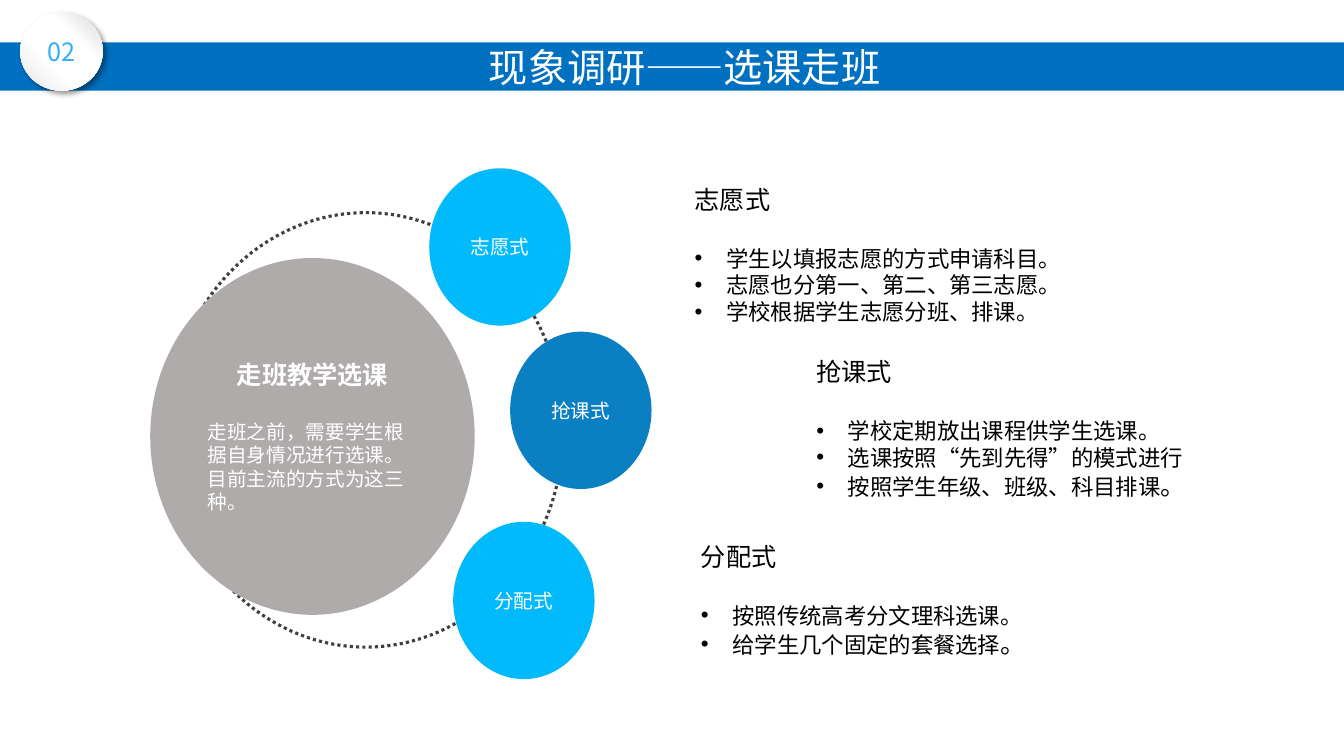
from lxml.etree import SubElement as Sub
from pptx import Presentation
from pptx.dml.color import RGBColor
from pptx.enum.dml import MSO_LINE as Dash
from pptx.enum.shapes import MSO_SHAPE as Kind
from pptx.enum.text import MSO_ANCHOR as Anchor, MSO_AUTO_SIZE as Auto, PP_ALIGN as Align
from pptx.oxml.ns import qn
from pptx.util import Pt

FACE = "Noto Sans CJK SC"
TITLE = "现象调研——选课走班"
BADGE = "02"
HUB = ("走班教学选课", "走班之前，需要学生根据自身情况进行选课。目前主流的方式为这三种。")
MODES = [
    {"name": "志愿式", "ball": (306.6, 120.2, "00BAFB"), "list": (489, 128, 287),
     "items": ["学生以填报志愿的方式申请科目。", "志愿也分第一、第二、第三志愿。", "学校根据学生志愿分班、排课。"]},
    {"name": "抢课式", "ball": (364.4, 236.9, "0A80C2"), "list": (576, 251, 287),
     "items": ["学校定期放出课程供学生选课。", "选课按照“先到先得”的模式进行", "按照学生年级、班级、科目排课|。"]},
    {"name": "分配式", "ball": (323.7, 372.7, "00BAFB"), "list": (493.5, 383, 249),
     "items": ["按照传统高考分文理科选课。", "给学生几个固定的套餐选择|。"]},
]
STOPS = [(0, "E7E6E6"), (38, "FFFFFF"), (66, "FFFFFF"), (100, "D9D9D9")]
BALL = (101, 112.4)
LEAD = 1.2
HANG = 22.5


def color(code):
    return RGBColor.from_string(code)


def apply(thing, **values):
    for key, value in values.items():
        setattr(thing, key, value)


def place(shape, left, top, width, height):
    apply(shape, left=Pt(left), top=Pt(top), width=Pt(width), height=Pt(height))


def write(para, text, size, tint="FFFFFF", bold=False):
    run = para.add_run()
    run.text = text
    apply(run.font, name=FACE, size=Pt(size), bold=bold)
    run.font.color.rgb = color(tint)
    Sub(run._r.get_or_add_rPr(), qn("a:ea"), typeface=FACE)


def space(para, size, before=0):
    apply(para, line_spacing=Pt(size * LEAD), space_before=Pt(before), space_after=Pt(0))


def bullet(para, mark):
    props = para._p.get_or_add_pPr()
    props.set("marL", str(Pt(HANG) if mark else 0))
    props.set("indent", str(-Pt(HANG) if mark else 0))
    if mark:
        Sub(props, qn("a:buFont"), typeface="Arial")
        Sub(props, qn("a:buChar"), char="•")
    else:
        Sub(props, qn("a:buNone"))


def disc(left, top, width, height, fill=None):
    shape = slide.shapes.add_shape(Kind.OVAL, Pt(left), Pt(top), Pt(width), Pt(height))
    shape.shadow.inherit = False
    shape.line.fill.background()
    if fill:
        shape.fill.solid()
        shape.fill.fore_color.rgb = color(fill)
    else:
        shape.fill.background()
    apply(shape.text_frame, vertical_anchor=Anchor.MIDDLE, word_wrap=True)
    shape.text_frame.paragraphs[0].alignment = Align.CENTER
    return shape


def head(title):
    place(title, 0, 30.2, 960, 34.6)
    title.fill.solid()
    title.fill.fore_color.rgb = color("0070C0")
    frame = title.text_frame
    apply(frame, vertical_anchor=Anchor.MIDDLE, auto_size=Auto.NONE, word_wrap=True,
          margin_left=Pt(25.2), margin_top=0, margin_bottom=0)
    para = frame.paragraphs[0]
    apply(para, alignment=Align.CENTER, line_spacing=1.0, space_before=Pt(0))
    write(para, TITLE, 28)


def badge():
    shape = disc(14.4, 8.6, 59, 56.2)
    write(shape.text_frame.paragraphs[0], BADGE, 18, "33B0F5")
    shape.fill.gradient()
    shape.fill.gradient_angle = 45
    props = shape._element.spPr
    stops = props.find(qn("a:gradFill")).find(qn("a:gsLst"))
    for old in list(stops):
        stops.remove(old)
    for spot, code in STOPS:
        stop = Sub(stops, qn("a:gs"), pos=str(spot * 1000))
        Sub(stop, qn("a:srgbClr"), val=code)
    shade = Sub(props.find(qn("a:effectLst")), qn("a:outerShdw"), blurRad=str(Pt(4)),
                dist=str(Pt(3)), dir="2700000", algn="tl", rotWithShape="0")
    Sub(Sub(shade, qn("a:srgbClr"), val="000000"), qn("a:alpha"), val="40000")


def hub():
    ring = disc(120.2, 151.9, 282.2, 310.3)
    apply(ring.line, width=Pt(2.25), dash_style=Dash.ROUND_DOT)
    ring.line.color.rgb = color("404040")
    frame = disc(107.3, 184.3, 231.8, 254.9, "AFABAB").text_frame
    label, body = frame.paragraphs[0], frame.add_paragraph()
    body.alignment = Align.LEFT
    space(label, 18)
    space(body, 14, 18 * LEAD)
    write(label, HUB[0], 18, bold=True)
    write(body, HUB[1], 14)


def notes(box, mode):
    left, top, width = mode["list"]
    place(box, left, top, width, 54 + 20 * len(mode["items"]))
    frame = box.text_frame
    apply(frame, vertical_anchor=Anchor.TOP, auto_size=Auto.NONE, word_wrap=True)
    para = frame.paragraphs[0]
    space(para, 18)
    bullet(para, False)
    write(para, mode["name"], 18, "000000")
    for rank, item in enumerate(mode["items"]):
        text, _, end = item.partition("|")
        para = frame.add_paragraph()
        space(para, 18 if end else 16, 0 if rank else 18 * LEAD)
        bullet(para, True)
        write(para, text, 16, "000000")
        if end:
            write(para, end, 18, "000000")


deck = Presentation()
apply(deck, slide_width=Pt(960), slide_height=Pt(540))
slide = deck.slides.add_slide(deck.slide_layouts[4])
title, *boxes = slide.placeholders
head(title)
badge()
hub()
for mode, box in zip(MODES, boxes):
    left, top, fill = mode["ball"]
    ball = disc(left, top, *BALL, fill)
    write(ball.text_frame.paragraphs[0], mode["name"], 14)
    notes(box, mode)
for spare in boxes[len(MODES):]:
    spare._element.getparent().remove(spare._element)
deck.save("out.pptx")
